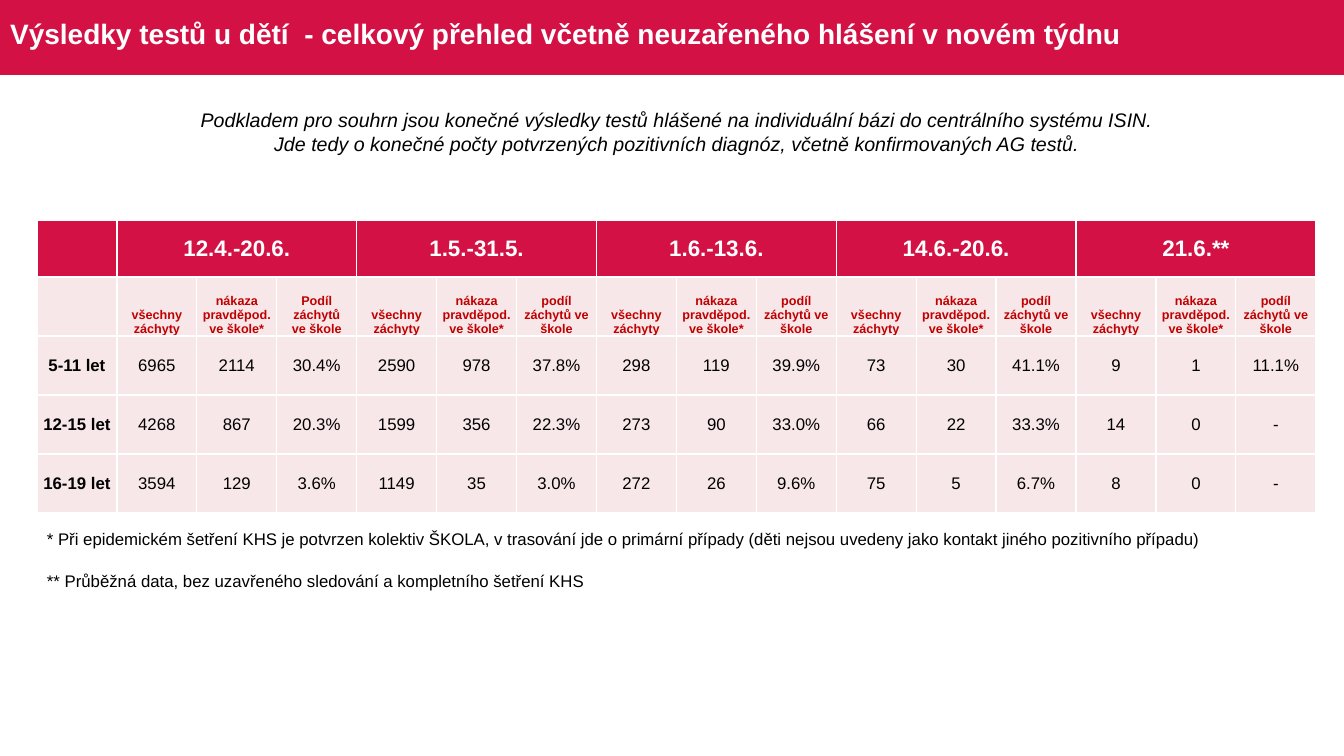
from lxml.etree import SubElement
from pptx import Presentation
from pptx.dml.color import RGBColor
from pptx.enum.shapes import MSO_SHAPE
from pptx.enum.text import MSO_ANCHOR as ANCHOR, PP_ALIGN as ALIGN
from pptx.oxml.ns import qn
from pptx.util import Pt

PX = 914400 / 100.8
CRIMSON = RGBColor(0xD3, 0x11, 0x45)
PINK = RGBColor(0xF7, 0xE7, 0xE9)
RED = RGBColor(0xC0, 0x00, 0x00)
WHITE = RGBColor(0xFF, 0xFF, 0xFF)
BLACK = RGBColor(0x00, 0x00, 0x00)


def box(*lengths):
    return [round(n * PX) for n in lengths]


def write(tf, text, size, color, align=ALIGN.LEFT, bold=False, italic=False):
    tf.text = text
    tf.word_wrap = True
    for p in tf.paragraphs:
        p.alignment = align
        for r in p.runs:
            r.font.name = "Arial"
            r.font.size = Pt(size)
            r.font.bold = bold
            r.font.italic = italic
            r.font.color.rgb = color


prs = Presentation()
prs.slide_width, prs.slide_height = box(1344, 756)
slide = prs.slides.add_slide(prs.slide_layouts[5])

title = slide.shapes.title
title.left, title.top, title.width, title.height = box(0, 4, 1326, 63)
write(title.text_frame,
      "Výsledky testů u dětí  - celkový přehled včetně neuzařeného hlášení v novém týdnu",
      20, WHITE, bold=True)
title.text_frame.vertical_anchor = ANCHOR.MIDDLE
title.text_frame.paragraphs[0].line_spacing = 0.9

band = slide.shapes.add_shape(MSO_SHAPE.RECTANGLE, *box(0, 0, 1344, 75))
band.shadow.inherit = False
band.fill.solid()
band.fill.fore_color.rgb = CRIMSON
band.line.fill.background()
title.element.addprevious(band.element)

intro = slide.shapes.add_textbox(*box(174, 103, 1006, 57))
write(intro.text_frame,
      "Podkladem pro souhrn jsou konečné výsledky testů hlášené na individuální bázi do centrálního systému ISIN.\n"
      "Jde tedy o konečné počty potvrzených pozitivních diagnóz, včetně konfirmovaných AG testů.",
      14, BLACK, ALIGN.CENTER, italic=True)

periods = ["12.4.-20.6.", "1.5.-31.5.", "1.6.-13.6.", "14.6.-20.6.", "21.6.**"]
measures = ["všechny záchyty", "nákaza pravděpod. ve škole*", "podíl záchytů ve škole"]
rows = [
    [""] + [text for period in periods for text in (period, "", "")],
    [""] + measures * len(periods),
    ["5-11 let", "6965", "2114", "30.4%", "2590", "978", "37.8%", "298", "119", "39.9%",
     "73", "30", "41.1%", "9", "1", "11.1%"],
    ["12-15 let", "4268", "867", "20.3%", "1599", "356", "22.3%", "273", "90", "33.0%",
     "66", "22", "33.3%", "14", "0", "-"],
    ["16-19 let", "3594", "129", "3.6%", "1149", "35", "3.0%", "272", "26", "9.6%",
     "75", "5", "6.7%", "8", "0", "-"],
]
rows[1][3] = "Podíl záchytů\nve škole"

frame = slide.shapes.add_table(len(rows), len(rows[0]), *box(37, 220, 1279, 293))
table = frame.table
table.first_row = False
table.horz_banding = False
for i, row in enumerate(rows):
    table.rows[i].height = round((57 if i == 0 else 59) * PX)
    for j, text in enumerate(row):
        cell = table.cell(i, j)
        tcPr = cell._tc.get_or_add_tcPr()
        for side in ("a:lnL", "a:lnR", "a:lnT", "a:lnB"):
            ln = SubElement(tcPr, qn(side), w=str(Pt(1)))
            SubElement(SubElement(ln, qn("a:solidFill")), qn("a:srgbClr"), val=str(WHITE))
        cell.fill.solid()
        cell.fill.fore_color.rgb = CRIMSON if i == 0 else PINK
        cell.margin_left = cell.margin_right = cell.margin_top = round(PX)
        cell.margin_bottom = 0
        cell.vertical_anchor = ANCHOR.BOTTOM if i == 1 else ANCHOR.MIDDLE
        if text:
            size, color = {0: (16, WHITE), 1: (9, RED)}.get(i, (12, BLACK))
            write(cell.text_frame, text, size, color, ALIGN.CENTER, bold=i < 2 or j == 0)
for j in range(1, len(rows[0]), len(measures)):
    table.cell(0, j).merge(table.cell(0, j + len(measures) - 1))

notes = [
    (524, 1263, "* Při epidemickém šetření KHS je potvrzen kolektiv ŠKOLA, v trasování jde o primární "
                "případy (děti nejsou uvedeny jako kontakt jiného pozitivního případu)"),
    (566, 1234, "** Průběžná data, bez uzavřeného sledování a kompletního šetření KHS"),
]
for top, width, text in notes:
    note = slide.shapes.add_textbox(*box(37, top, width, 30))
    write(note.text_frame, text, 12, BLACK)

prs.save("out.pptx")
